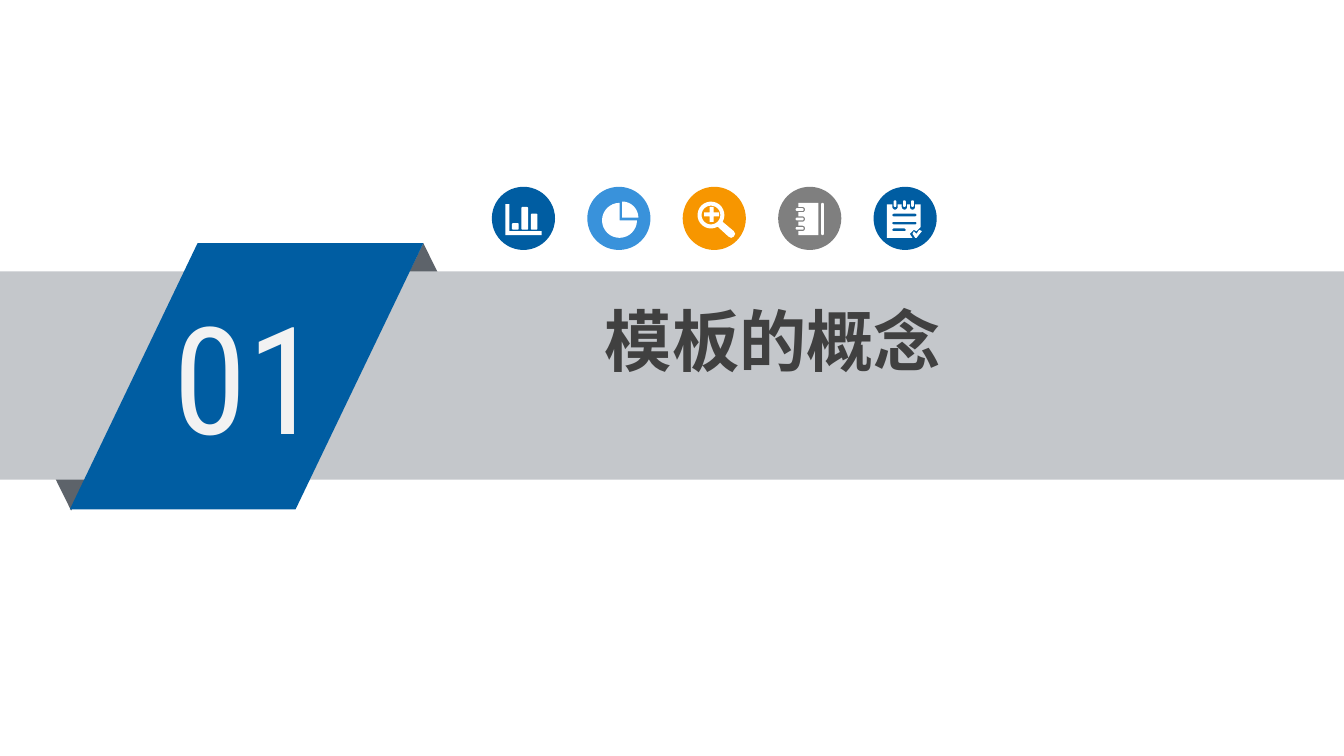
from math import cos, radians, sin

from lxml.etree import SubElement
from pptx import Presentation
from pptx.dml.color import RGBColor
from pptx.enum.shapes import MSO_SHAPE as Preset
from pptx.enum.text import MSO_ANCHOR as Anchor, PP_ALIGN as Align
from pptx.oxml.ns import qn
from pptx.util import Inches, Pt

BLUE = RGBColor(0x00, 0x5D, 0xA2)
LIGHT_BLUE = RGBColor(0x39, 0x92, 0xDB)
ORANGE = RGBColor(0xF7, 0x96, 0x00)
GREY = RGBColor(0x7F, 0x7F, 0x7F)
FOLD_GREY = RGBColor(0x5D, 0x63, 0x6A)
BAND_GREY = RGBColor(0xC4, 0xC7, 0xCB)
TITLE_GREY = RGBColor(0x40, 0x40, 0x40)
NUMBER_WHITE = RGBColor(0xF2, 0xF2, 0xF2)
WHITE = RGBColor(0xFF, 0xFF, 0xFF)


def arc(x, y, radius, start, end, steps=24):
    angles = [radians(start + (end - start) * i / steps) for i in range(steps + 1)]
    return [(x + radius * cos(a), y + radius * sin(a)) for a in angles]


def rounded(left, top, width, height, radius=0.01):
    right, bottom = left + width - radius, top + height - radius
    left, top = left + radius, top + radius
    corners = [(right, bottom), (left, bottom), (left, top), (right, top)]
    return [point for i, (x, y) in enumerate(corners)
            for point in arc(x, y, radius, 90 * i, 90 * i + 90, 6)]


prs = Presentation()
prs.slide_width = Inches(10)
prs.slide_height = Inches(10) * 9 // 16
slide = prs.slides.add_slide(prs.slide_layouts[5])
shapes = slide.shapes

banner = [
    (Preset.ISOSCELES_TRIANGLE, 2.7, 1.81, 0.9, 0.91, FOLD_GREY),
    (Preset.ISOSCELES_TRIANGLE, 0.08, 2.89, 0.9, 0.91, FOLD_GREY),
    (Preset.RECTANGLE, 0, 2.02, 10, 1.55, BAND_GREY),
    (Preset.PARALLELOGRAM, 0.52, 1.81, 2.63, 1.98, BLUE),
]
circle_size = 0.47
circles = [(Preset.OVAL, 3.66 + 0.71 * i, 1.39, circle_size, circle_size, color)
           for i, color in enumerate([BLUE, LIGHT_BLUE, ORANGE, GREY, BLUE])]

drawn = []
for preset, left, top, width, height, color in banner + circles:
    part = shapes.add_shape(preset, Inches(left), Inches(top), Inches(width), Inches(height))
    part.shadow.inherit = False
    part.fill.solid()
    part.fill.fore_color.rgb = color
    part.line.fill.background()
    drawn.append(part)
lower_fold, ribbon = drawn[1], drawn[3]
lower_fold._element.spPr.find(qn("a:xfrm")).set("flipV", "1")
ribbon.adjustments[0] = 0.48

bar_chart = [
    [(3.76, 1.52), (3.79, 1.52), (3.79, 1.72), (4.03, 1.72), (4.03, 1.75), (3.76, 1.75)],
    rounded(3.81, 1.66, 0.05, 0.05),
    rounded(3.88, 1.54, 0.05, 0.17),
    rounded(3.95, 1.59, 0.05, 0.12),
]
pie_chart = [
    [(4.61, 1.64)] + arc(4.61, 1.64, 0.13, 0, 270),
    [(4.63, 1.62)] + arc(4.63, 1.62, 0.12, 270, 360),
]
magnifier = [
    arc(5.29, 1.6, 0.1, 60, 390)
    + [(5.46, 1.72), (5.47, 1.74), (5.46, 1.76), (5.44, 1.77), (5.42, 1.76)],
    arc(5.29, 1.6, 0.07, 0, 360),
    [(5.28, 1.54), (5.31, 1.54), (5.31, 1.58), (5.35, 1.58), (5.35, 1.61), (5.31, 1.61),
     (5.31, 1.65), (5.28, 1.65), (5.28, 1.61), (5.24, 1.61), (5.24, 1.58), (5.28, 1.58)],
]

binding = [1.56, 1.63, 1.7]
book_page = [(6.09, 1.75), (6.09, 1.51), (5.94, 1.51)]
for y in binding:
    book_page += [(5.94, y - 0.02)] + arc(5.97, y, 0.02, -90, 90) + [(5.94, y + 0.02)]
notebook = [book_page + [(5.94, 1.75)], rounded(6.11, 1.51, 0.02, 0.24)]
notebook += [rounded(5.92, y - 0.01, 0.06, 0.02) for y in binding]

pins = [6.66, 6.73, 6.79]
pad_page = [(6.6, 1.77), (6.6, 1.52)]
for x in pins:
    pad_page += [(x - 0.02, 1.52)] + arc(x, 1.54, 0.02, 180, 0) + [(x + 0.02, 1.52)]
pad_page += [(6.85, 1.52), (6.85, 1.69), (6.82, 1.72), (6.8, 1.71), (6.77, 1.74), (6.79, 1.77)]
check_mark = [(6.86, 1.72), (6.82, 1.77), (6.81, 1.77), (6.79, 1.74),
              (6.8, 1.72), (6.82, 1.74), (6.84, 1.71)]
notepad = [pad_page, check_mark]
notepad += [rounded(x - 0.01, 1.49, 0.02, 0.05) for x in pins]
notepad += [rounded(6.64, y, width, 0.02) for y, width in [(1.59, 0.18), (1.65, 0.18), (1.7, 0.1)]]

for icon in [bar_chart, pie_chart, magnifier, notebook, notepad]:
    builder = None
    for contour in icon:
        points = [(Inches(x), Inches(y)) for x, y in contour]
        if builder is None:
            builder = shapes.build_freeform(*points[0])
        else:
            builder.move_to(*points[0])
        builder.add_line_segments(points[1:], close=True)
    symbol = builder.convert_to_shape()
    symbol.shadow.inherit = False
    symbol.fill.solid()
    symbol.fill.fore_color.rgb = WHITE
    symbol.line.fill.background()

number = shapes.add_textbox(Inches(1.22), Inches(2.08), Inches(1.45), Inches(1.42))
title = shapes.title
title.left, title.top, title.width, title.height = [Inches(v) for v in (3.03, 2.19, 5.44, 0.68)]
shapes._spTree.append(title._element)

labels = [
    (number, "01", 80, "Roboto Condensed", NUMBER_WHITE, False, Align.LEFT, 0.07),
    (title, "模板的概念", 36, "Noto Sans CJK SC", TITLE_GREY, True, Align.CENTER, 0.08),
]
for label, words, size, typeface, color, bold, align, margin in labels:
    frame = label.text_frame
    frame.text = words
    frame.word_wrap = True
    frame.vertical_anchor = Anchor.TOP
    frame.margin_left = frame.margin_right = Inches(margin)
    frame.margin_top = frame.margin_bottom = Inches(0.04)
    paragraph = frame.paragraphs[0]
    paragraph.alignment = align
    font = paragraph.runs[0].font
    font.size, font.bold, font.name = Pt(size), bold, typeface
    font.color.rgb = color
    SubElement(font._element, qn("a:ea")).set("typeface", typeface)

prs.save("out.pptx")
